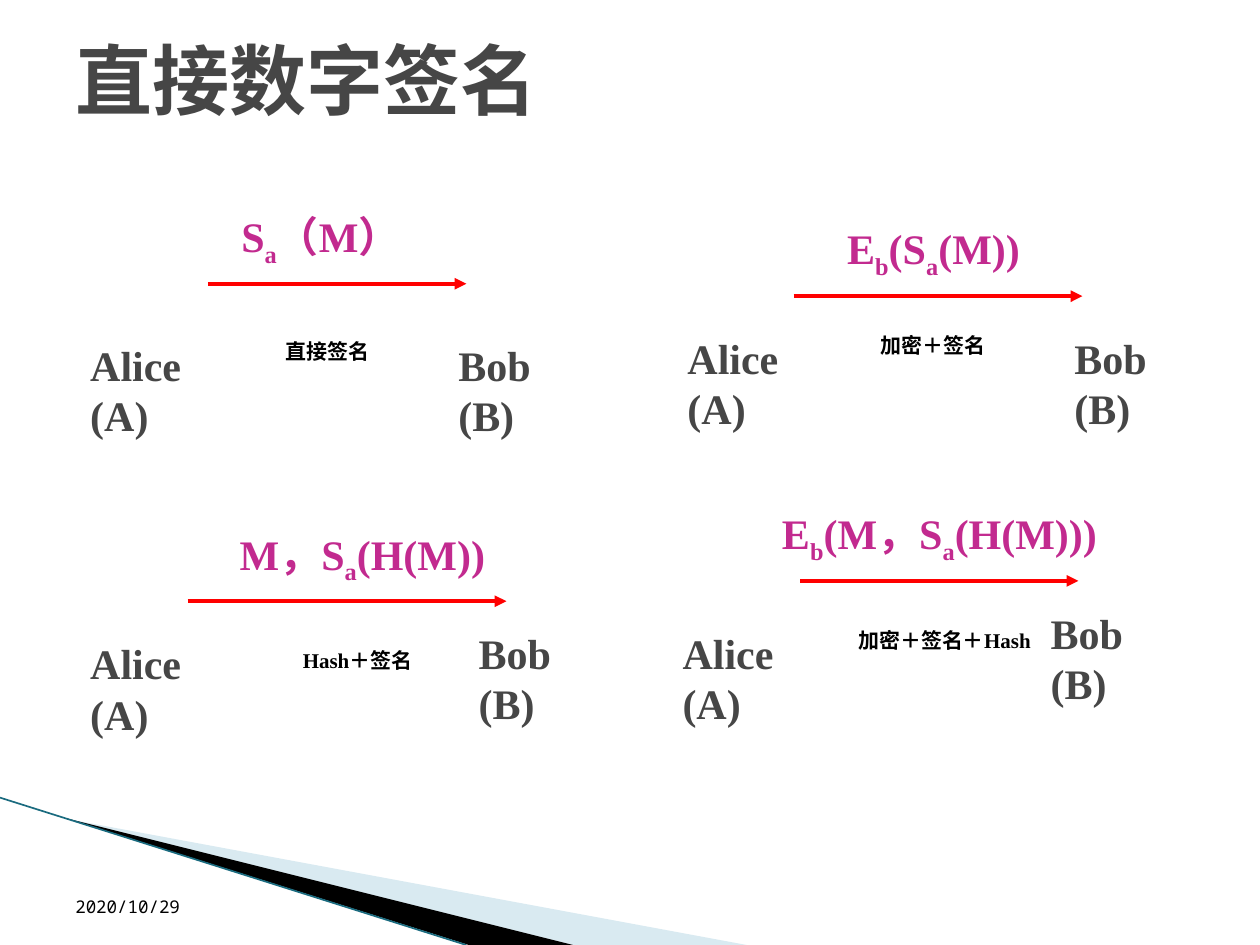
from dataclasses import dataclass

from lxml.etree import SubElement
from pptx import Presentation
from pptx.dml.color import RGBColor
from pptx.enum.shapes import MSO_CONNECTOR
from pptx.enum.text import MSO_ANCHOR, MSO_AUTO_SIZE, PP_ALIGN
from pptx.oxml.ns import qn
from pptx.util import Cm, Pt

SERIF = "Times New Roman"
TITLE = {"name": SERIF, "size": Pt(44), "bold": True, "color": "464646"}
PARTY = {**TITLE, "size": Pt(24)}
FORMULA = {**PARTY, "color": "C22A8F"}
CAPTION = {**PARTY, "size": Pt(12), "color": "000000"}
DATE = {"name": "Noto Sans Mono", "size": Pt(10), "bold": False, "color": "000000"}

Point = tuple[float, float]


@dataclass
class Box:
    x: float
    y: float
    w: float
    h: float


@dataclass
class Scheme:
    formula: str
    caption: str
    arrow: tuple[float, float, float]
    formula_span: Point
    alice: Point
    bob: Point
    caption_at: Point
    caption_w: float = 4


SCHEMES = [
    Scheme("S|a|（M）", "直接签名", (4.19, 9.4, 5.72), (3.78, 5.38),
           (1.57, 6.71), (8.99, 6.71), (4.6, 6.71)),
    Scheme("E|b|(S|a|(M))", "加密＋签名", (16, 21.82, 5.97), (15.62, 6.4),
           (13.61, 6.58), (21.41, 6.58), (16.81, 6.58)),
    Scheme("M，S|a|(H(M))", "Hash＋签名", (3.78, 10.21, 12.12), (3.61, 7.39),
           (1.57, 12.73), (9.4, 12.52), (5.21, 12.93)),
    Scheme("E|b|(M，S|a|(H(M)))", "加密＋签名＋Hash", (16.13, 21.74, 11.71), (14.94, 8),
           (13.51, 12.52), (20.93, 12.12), (16.74, 12.52), 4.6),
]


def rgb(value: str) -> RGBColor:
    return RGBColor.from_string(value)


def add_text(s, text: str, box: Box, style: dict, align=PP_ALIGN.LEFT,
             anchor=MSO_ANCHOR.TOP, grow: bool = True) -> None:
    tf = s.shapes.add_textbox(Cm(box.x), Cm(box.y), Cm(box.w), Cm(box.h)).text_frame
    tf.word_wrap = True
    tf.vertical_anchor = anchor
    tf.auto_size = MSO_AUTO_SIZE.SHAPE_TO_FIT_TEXT if grow else MSO_AUTO_SIZE.NONE
    p = tf.paragraphs[0]
    p.alignment = align
    for i, part in enumerate(text.split("|")):
        r = p.add_run()
        r.text = part
        for key, value in style.items():
            if key == "color":
                r.font.color.rgb = rgb(value)
            else:
                setattr(r.font, key, value)
        if i % 2:
            r._r.get_or_add_rPr().set("baseline", "-25000")


def add_line(s, start: Point, end: Point, color: str, width: float, arrow: bool = False) -> None:
    sp = s.shapes.add_connector(MSO_CONNECTOR.STRAIGHT, *map(Cm, start + end))
    sp.line.color.rgb = rgb(color)
    sp.line.width = Pt(width)
    if arrow:
        SubElement(sp.line._get_or_add_ln(), qn("a:tailEnd"), type="triangle")
    SubElement(sp._element.spPr, qn("a:effectLst"))


def add_wedge(s, points: list[Point], color: str) -> None:
    first, *rest = [(Cm(x), Cm(y)) for x, y in points]
    builder = s.shapes.build_freeform(*first)
    builder.add_line_segments(rest)
    sp = builder.convert_to_shape()
    sp.shadow.inherit = False
    sp.fill.solid()
    sp.fill.fore_color.rgb = rgb(color)
    sp.line.fill.background()


def add_scheme(s, scheme: Scheme) -> None:
    x1, x2, y = scheme.arrow
    add_line(s, (x1, y), (x2, y), "FF0000", 2.25, arrow=True)
    left, width = scheme.formula_span
    add_text(s, scheme.formula, Box(left, y - 1.6, width, 1.27), FORMULA, PP_ALIGN.CENTER)
    add_text(s, "Alice (A)", Box(*scheme.alice, 3.2, 1.02), PARTY)
    add_text(s, "Bob (B)", Box(*scheme.bob, 2.59, 1.02), PARTY)
    add_text(s, scheme.caption, Box(*scheme.caption_at, scheme.caption_w, 0.76),
             CAPTION, PP_ALIGN.CENTER)


def main() -> None:
    prs = Presentation()
    prs.slide_width, prs.slide_height = Cm(25.4), Cm(19.05)
    s = prs.slides.add_slide(prs.slide_layouts[6])
    add_wedge(s, [(1.4, 16.52), (15.05, 19.05), (11.55, 19.05)], "D9EAF1")
    add_wedge(s, [(1.35, 16.5), (11.55, 19.05), (9.45, 19.05)], "000000")
    add_line(s, (0, 16.08), (9.4, 19.05), "1A6B7F", 0.95)
    add_text(s, "直接数字签名", Box(1.27, 0, 22.86, 3.18), TITLE,
             anchor=MSO_ANCHOR.MIDDLE, grow=False)
    add_text(s, "2020/10/29", Box(1.27, 17.35, 5.92, 1.27), DATE,
             anchor=MSO_ANCHOR.BOTTOM, grow=False)
    for scheme in SCHEMES:
        add_scheme(s, scheme)
    prs.save("out.pptx")


if __name__ == "__main__":
    main()
